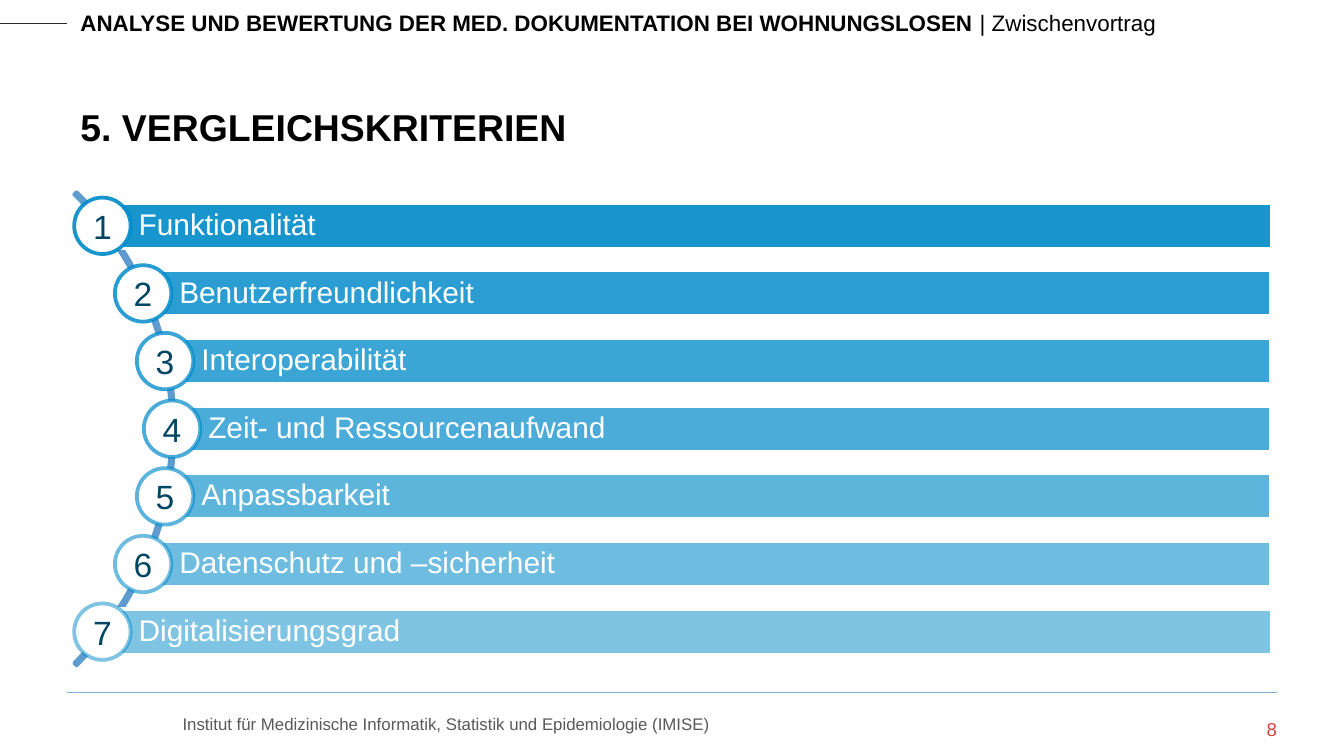
from math import sqrt

from lxml import etree
from pptx import Presentation
from pptx.dml.color import RGBColor
from pptx.enum.shapes import MSO_CONNECTOR, MSO_SHAPE
from pptx.enum.text import MSO_ANCHOR, PP_ALIGN
from pptx.oxml.ns import qn
from pptx.util import Inches, Pt

STRAIGHT = MSO_CONNECTOR.STRAIGHT
ARC, BAR, CIRCLE = MSO_SHAPE.BLOCK_ARC, MSO_SHAPE.RECTANGLE, MSO_SHAPE.OVAL
TOP, MIDDLE, BOTTOM = MSO_ANCHOR.TOP, MSO_ANCHOR.MIDDLE, MSO_ANCHOR.BOTTOM
LEFT, CENTER, RIGHT = PP_ALIGN.LEFT, PP_ALIGN.CENTER, PP_ALIGN.RIGHT

FONT = "Arial"
COLORS = {
    "text": "000000",
    "white": "FFFFFF",
    "bar": "008AC9",
    "arc": "5E9BCF",
    "number": "004564",
    "footer": "595959",
    "page": "D8413E",
    "header_rule": "262A31",
    "footer_rule": "79B2D4",
}
CRITERIA = [
    "Funktionalität",
    "Benutzerfreundlichkeit",
    "Interoperabilität",
    "Zeit- und Ressourcenaufwand",
    "Anpassbarkeit",
    "Datenschutz und –sicherheit",
    "Digitalisierungsgrad",
]


def rgb(name):
    return RGBColor.from_string(COLORS[name])


def set_alpha(fill_parent, percent):
    """Make the solid fill of a shape or a line partly transparent."""
    color = fill_parent.find(qn("a:solidFill"))[0]
    etree.SubElement(color, qn("a:alpha"), val=str(round(percent * 1000)))


def add_rule(slide, x1, x2, y, color):
    rule = slide.shapes.add_connector(
        STRAIGHT, Inches(x1), Inches(y), Inches(x2), Inches(y))
    rule.line.color.rgb = rgb(color)
    rule.line.width = Pt(0.25)
    etree.SubElement(rule._element.spPr, qn("a:effectLst"))


def write(shape, runs, size, color, align=LEFT, anchor=TOP,
          insets=(0.1, 0.05, 0.1, 0.05), wrap=True):
    """Fill a shape with one paragraph of (text, bold) runs."""
    frame = shape.text_frame
    frame.word_wrap = wrap
    frame.vertical_anchor = anchor
    (frame.margin_left, frame.margin_top,
     frame.margin_right, frame.margin_bottom) = map(Inches, insets)
    paragraph = frame.paragraphs[0]
    paragraph.alignment = align
    for text, bold in runs:
        run = paragraph.add_run()
        run.text = text
        run.font.name = FONT
        run.font.size = Pt(size)
        run.font.bold = bold
        run.font.color.rgb = rgb(color)
    return paragraph


def add_text(slide, box, runs, size, color, **layout):
    textbox = slide.shapes.add_textbox(*map(Inches, box))
    return write(textbox, runs, size, color, **layout)


def add_shape(slide, kind, box, line, fill=None):
    shape = slide.shapes.add_shape(kind, *map(Inches, box))
    shape.shadow.inherit = False
    shape.line.color.rgb = rgb(line)
    shape.line.width = Pt(2)
    if fill:
        shape.fill.solid()
        shape.fill.fore_color.rgb = rgb(fill)
    else:
        shape.fill.background()
    return shape


def add_header(slide, left, top, width):
    add_rule(slide, 0, left, top + 0.15, "header_rule")
    add_text(slide, (left, top, width, 0.3),
             [("ANALYSE UND BEWERTUNG DER MED. DOKUMENTATION BEI WOHNUNGSLOSEN ", True),
              ("| Zwischenvortrag", False)], 12, "text")


def add_title(slide, left, top, width, height):
    add_text(slide, (left, top, width, height),
             [("5. VERGLEICHSKRITERIEN", True)], 20, "text", anchor=BOTTOM)


def add_footer(slide, left, top, width):
    right = left + width
    add_rule(slide, left, right, top, "footer_rule")
    add_text(slide, (left + 0.76, top + 0.11, 7.42, 0.25),
             [("Institut für Medizinische Informatik, Statistik und "
               "Epidemiologie (IMISE)", False)], 9, "footer")
    page = add_text(slide, (right - 0.81, top + 0.19, 0.81, 0.22),
                    [("8", False)], 10, "page", align=RIGHT, insets=(0, 0, 0, 0))
    page.space_after = Pt(6)


def add_criteria(slide, left, top, width, height):
    """Place numbered bars whose left ends follow an arc as tall as the box."""
    middle = top + height / 2
    radius = height / 2 - 0.03
    bar_height, circle_size = 0.34, 0.42
    steps = len(CRITERIA) - 1
    pitch = 3.02 / steps
    peak = left + 0.73
    right = left + width

    arc = add_shape(slide, ARC, (peak + 0.02 - height, top, height, height), "arc")
    for index, value in enumerate((189, 27, 0.005)):
        arc.adjustments[index] = value

    numbers = []
    for index, criterion in enumerate(CRITERIA):
        offset = (index - steps / 2) * pitch
        x = peak - radius + sqrt(radius ** 2 - offset ** 2)
        y = middle + offset
        opacity = 90 - index * 40 / steps

        bar = add_shape(slide, BAR, (x, y - bar_height / 2, right - x, bar_height),
                        "white", "bar")
        set_alpha(bar._element.spPr, opacity)
        label = write(bar, [(criterion, False)], 16, "white", anchor=MIDDLE,
                      insets=(0.27, 0.04, 0.04, 0.04))
        label.line_spacing = 0.9

        circle = add_shape(
            slide, CIRCLE,
            (x - circle_size / 2, y - circle_size / 2, circle_size, circle_size),
            "bar", "white")
        set_alpha(circle._element.spPr.find(qn("a:ln")), opacity)
        numbers.append((str(index + 1), x, y))

    for number, x, y in numbers:
        add_text(slide, (x - 0.07, y - 0.15, 0.14, 0.3), [(number, False)],
                 18, "number", align=CENTER, insets=(0, 0, 0, 0), wrap=False)


def main():
    presentation = Presentation()
    presentation.slide_width = Inches(10)
    presentation.slide_height = presentation.slide_width * 9 // 16
    slide = presentation.slides.add_slide(presentation.slide_layouts[6])
    add_header(slide, 0.5, 0.02, 8.42)
    add_title(slide, 0.5, 0.33, 9.01, 0.83)
    add_footer(slide, 0.5, 5.15, 9)
    add_criteria(slide, 0.55, 0.7, 8.91, 4.98)
    presentation.save("out.pptx")


if __name__ == "__main__":
    main()
